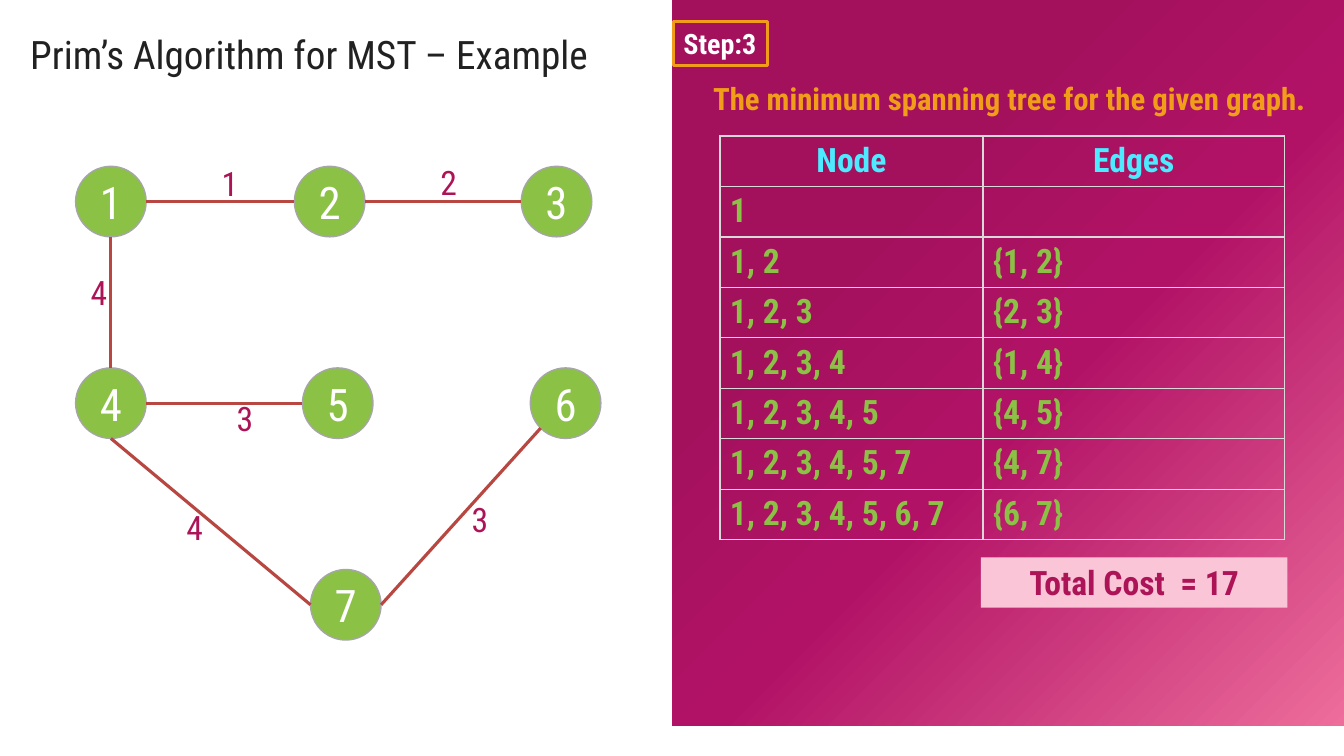
from dataclasses import dataclass
from math import sqrt

from lxml.etree import SubElement
from pptx import Presentation
from pptx.dml.color import RGBColor
from pptx.enum.shapes import MSO_CONNECTOR, MSO_SHAPE
from pptx.enum.text import MSO_ANCHOR, MSO_AUTO_SIZE, PP_ALIGN
from pptx.oxml.ns import qn
from pptx.util import Inches, Pt

TITLE = "Prim’s Algorithm for MST – Example"
STEP = "Step:3"
CAPTION = "The minimum spanning tree for the given graph."
TOTAL = "Total Cost  = 17"
NODES = {
    "1": (0.75, 1.65), "2": (2.92, 1.65), "3": (5.17, 1.65),
    "4": (0.75, 3.65), "5": (3, 3.65), "6": (5.26, 3.65),
    "7": (3.08, 5.65),
}
EDGES = [
    ("1", "right", "2", "left", "1", (2.1, 1.57)),
    ("2", "right", "3", "left", "2", (4.27, 1.56)),
    ("4", "right", "5", "left", "3", (2.25, 3.9)),
    ("1", "bottom", "4", "top", "4", (0.8, 2.65)),
    ("6", "bottom left", "7", "right", "3", (4.58, 4.9)),
    ("4", "bottom", "7", "left", "4", (1.75, 4.98)),
]
ROWS = [
    ("Node", "Edges"),
    ("1", ""),
    ("1, 2", "{1, 2}"),
    ("1, 2, 3", "{2, 3}"),
    ("1, 2, 3, 4", "{1, 4}"),
    ("1, 2, 3, 4, 5", "{4, 5}"),
    ("1, 2, 3, 4, 5, 7", "{4, 7}"),
    ("1, 2, 3, 4, 5, 6, 7", "{6, 7}"),
]
COLUMN_WIDTHS = (2.61, 2.99)
ROW_HEIGHT = 0.5
NODE_SIZE = 0.7
DIAGONAL = sqrt(0.5)
SIDES = {
    "top": (0, -1), "bottom": (0, 1), "left": (-1, 0), "right": (1, 0),
    "bottom left": (-DIAGONAL, DIAGONAL),
}


@dataclass(frozen=True)
class Theme:
    """Colours, font and type sizes of the slide."""
    font: str = "Roboto Condensed"
    title: str = "212121"
    white: str = "FFFFFF"
    green: str = "8BC145"
    node_line: str = "A6A6A6"
    edge: str = "B84742"
    magenta: str = "AD1457"
    orange: str = "F19D19"
    cyan: str = "4CEBFF"
    pale_pink: str = "F9C5D7"
    table_line: str = "D9D9D9"
    gradient: tuple = ((30, "A3115D"), (55, "B21266"), (100, "ED6D9B"))
    title_size: int = 28
    node_size: int = 32
    body_size: int = 24
    caption_size: int = 22
    step_size: int = 20


THEME = Theme()


def rgb(value):
    """Turn a hex string into a colour."""
    return RGBColor.from_string(value)


def write(frame, text, size=THEME.body_size, color=THEME.magenta, bold=False,
          align=PP_ALIGN.LEFT, anchor=MSO_ANCHOR.TOP, wrap=True, grow=False):
    """Put formatted text in a text frame or table cell frame."""
    frame.word_wrap = wrap
    frame.vertical_anchor = anchor
    frame.auto_size = MSO_AUTO_SIZE.SHAPE_TO_FIT_TEXT if grow else MSO_AUTO_SIZE.NONE
    paragraph = frame.paragraphs[0]
    paragraph.alignment = align
    run = paragraph.add_run()
    run.text = text
    run.font.name = THEME.font
    run.font.size = Pt(size)
    run.font.bold = bold
    run.font.color.rgb = rgb(color)


def add_box(slide, preset, box, fill=None, line=None, line_width=1):
    """Add a preset shape with plain fill and line."""
    shape = slide.shapes.add_shape(preset, *map(Inches, box))
    shape.shadow.inherit = False
    if fill:
        shape.fill.solid()
        shape.fill.fore_color.rgb = rgb(fill)
    else:
        shape.fill.background()
    if line:
        shape.line.color.rgb = rgb(line)
        shape.line.width = Pt(line_width)
    else:
        shape.line.fill.background()
    return shape


def add_label(slide, box, text, **style):
    """Add a text box."""
    label = slide.shapes.add_textbox(*map(Inches, box))
    write(label.text_frame, text, grow=True, **style)


def add_panel(slide):
    """Add the right-hand panel with a gradient from its top left corner."""
    panel = add_box(slide, MSO_SHAPE.RECTANGLE, (6.67, 0, 6.67, 7.2))
    panel.fill.gradient()
    gradient = panel.fill._xPr.find(qn("a:gradFill"))
    for child in list(gradient):
        gradient.remove(child)
    stops = SubElement(gradient, qn("a:gsLst"))
    for position, color in THEME.gradient:
        stop = SubElement(stops, qn("a:gs"), pos=str(position * 1000))
        SubElement(stop, qn("a:srgbClr"), val=color)
    circle = SubElement(gradient, qn("a:path"), path="circle")
    SubElement(circle, qn("a:fillToRect"), r="100000", b="100000")


def node_point(node, side):
    """Find the point on a node's rim, in inches."""
    radius = NODE_SIZE / 2
    return [Inches(start + radius + radius * step)
            for start, step in zip(NODES[node], SIDES[side])]


def add_graph(slide):
    """Draw the nodes, the edges and the edge weights."""
    for name, corner in NODES.items():
        node = add_box(slide, MSO_SHAPE.OVAL, (*corner, NODE_SIZE, NODE_SIZE),
                       fill=THEME.green, line=THEME.node_line)
        write(node.text_frame, name, size=THEME.node_size, color=THEME.white,
              align=PP_ALIGN.CENTER, anchor=MSO_ANCHOR.MIDDLE)
    for start, start_side, end, end_side, weight, place in EDGES:
        edge = slide.shapes.add_connector(
            MSO_CONNECTOR.STRAIGHT, *node_point(start, start_side), *node_point(end, end_side))
        edge.line.color.rgb = rgb(THEME.edge)
        edge.line.width = Pt(2.25)
        SubElement(edge._element.spPr, qn("a:effectLst"))
        add_label(slide, (*place, 0.4, 0.5), weight)


def add_node_table(slide):
    """Add the table of visited nodes and chosen edges."""
    table = slide.shapes.add_table(
        len(ROWS), len(COLUMN_WIDTHS), Inches(7.14), Inches(1.35),
        Inches(sum(COLUMN_WIDTHS)), Inches(ROW_HEIGHT * len(ROWS))).table
    table.first_row = table.horz_banding = False
    for column, width in zip(table.columns, COLUMN_WIDTHS):
        column.width = Inches(width)
    for row_index, row in enumerate(ROWS):
        table.rows[row_index].height = Inches(ROW_HEIGHT)
        for column_index, text in enumerate(row):
            cell = table.cell(row_index, column_index)
            properties = cell._tc.get_or_add_tcPr()
            for side in ("lnL", "lnR", "lnT", "lnB"):
                border = SubElement(properties, qn(f"a:{side}"), w=str(Pt(1)))
                fill = SubElement(border, qn("a:solidFill"))
                SubElement(fill, qn("a:srgbClr"), val=THEME.table_line)
            cell.fill.background()
            if text:
                header = row_index == 0
                write(cell.text_frame, text, bold=True,
                      color=THEME.cyan if header else THEME.green,
                      align=PP_ALIGN.CENTER if header else PP_ALIGN.LEFT)


def main():
    """Build and save the slide."""
    presentation = Presentation()
    presentation.slide_width, presentation.slide_height = Inches(13.33), Inches(7.5)
    slide = presentation.slides.add_slide(presentation.slide_layouts[5])
    title = slide.shapes.title
    title.left, title.top, title.width, title.height = map(Inches, (0, 0.01, 6.8, 0.81))
    write(title.text_frame, TITLE, size=THEME.title_size, color=THEME.title,
          anchor=MSO_ANCHOR.MIDDLE)
    title.text_frame.margin_left = Inches(0.3)
    title.text_frame.paragraphs[0].line_spacing = 1.5

    add_panel(slide)
    add_graph(slide)
    step = add_box(slide, MSO_SHAPE.RECTANGLE, (6.68, 0.21, 0.93, 0.44),
                   line=THEME.orange, line_width=2.25)
    write(step.text_frame, STEP, size=THEME.step_size, color=THEME.white, bold=True,
          wrap=False, grow=True)
    add_label(slide, (6.91, 0.74, 6.2, 0.47), CAPTION, size=THEME.caption_size,
              color=THEME.orange, bold=True, align=PP_ALIGN.CENTER)
    add_node_table(slide)
    total = add_box(slide, MSO_SHAPE.RECTANGLE, (9.73, 5.53, 3.04, 0.5), fill=THEME.pale_pink)
    write(total.text_frame, TOTAL, bold=True, align=PP_ALIGN.CENTER, grow=True)
    presentation.save("out.pptx")


if __name__ == "__main__":
    main()
